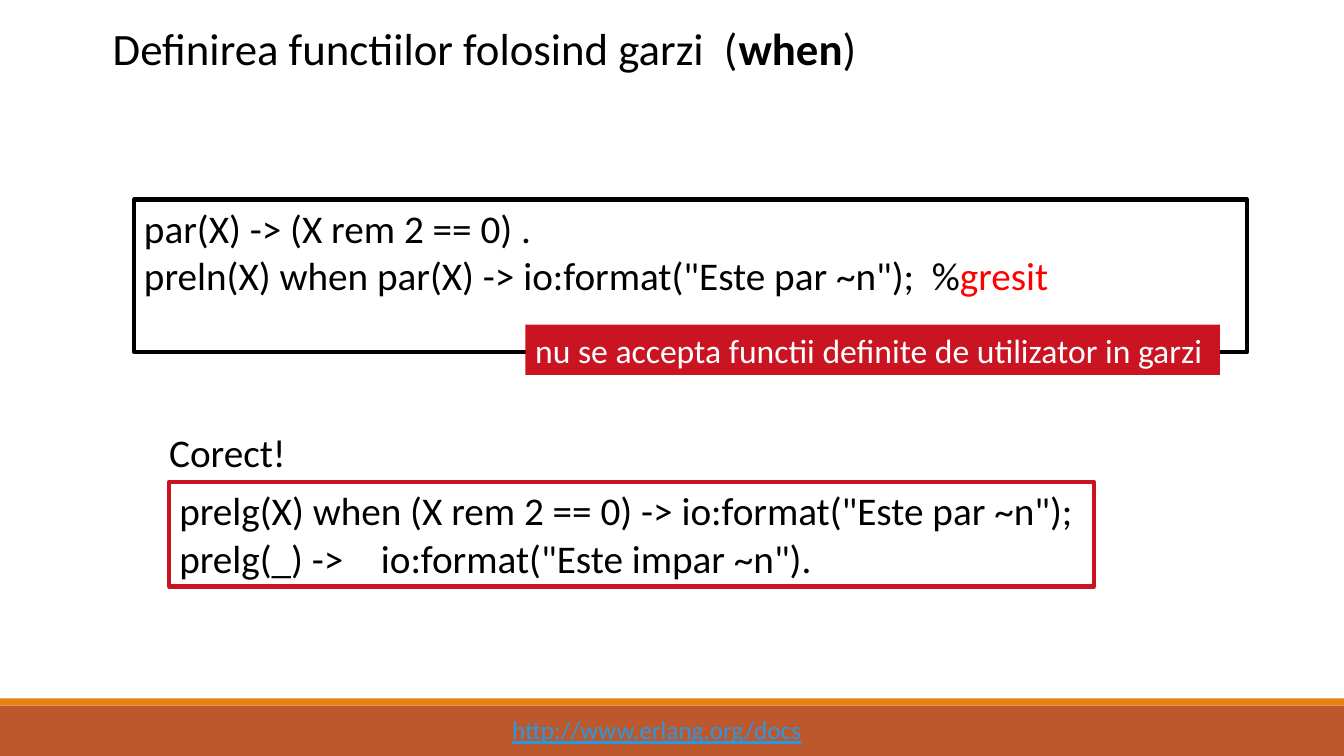
from dataclasses import dataclass
from typing import Optional

from pptx import Presentation
from pptx.dml.color import RGBColor
from pptx.enum.shapes import MSO_SHAPE
from pptx.enum.text import MSO_ANCHOR, PP_ALIGN
from pptx.slide import Slide
from pptx.util import Inches, Pt

BLACK = RGBColor(0x00, 0x00, 0x00)
WHITE = RGBColor(0xFF, 0xFF, 0xFF)
BRIGHT_RED = RGBColor(0xFF, 0x00, 0x00)
CRIMSON = RGBColor(0xCA, 0x14, 0x21)
RUST = RGBColor(0xBD, 0x58, 0x2C)
ORANGE = RGBColor(0xE4, 0x83, 0x12)
LINK_BLUE = RGBColor(0x29, 0x98, 0xE3)
FONT_NAME = "Calibri"


@dataclass(frozen=True)
class Segment:
    text: str
    color: RGBColor = BLACK
    bold: bool = False
    underline: bool = False


@dataclass(frozen=True)
class Box:
    left: float
    top: float
    width: float
    height: float
    lines: tuple[tuple[Segment, ...], ...] = ()
    size: int = 28
    fill: Optional[RGBColor] = None
    border: Optional[RGBColor] = None
    wrap: bool = False


BOXES = (
    Box(0, 7, 13.33, 0.5, fill=RUST),
    Box(0, 6.93, 13.33, 0.07, fill=ORANGE),
    Box(4.98, 7.04, 3.11, 0.4, size=18,
        lines=((Segment("http://www.erlang.org/docs", LINK_BLUE, underline=True),),)),
    Box(1.33, 1.98, 11.04, 1.51, fill=WHITE, border=BLACK, wrap=True,
        lines=((Segment("par(X) -> (X rem 2 == 0) ."),),
               (Segment('preln(X) when par(X) -> io:format("Este par ~n");  %'),
                Segment("gresit", BRIGHT_RED)))),
    Box(5.21, 3.22, 6.89, 0.5, size=24, fill=CRIMSON,
        lines=((Segment("nu se accepta functii definite de utilizator in garzi", WHITE),),)),
    Box(1.68, 4.78, 9.17, 1.04, border=CRIMSON,
        lines=((Segment('prelg(X) when (X rem 2 == 0) -> io:format("Este par ~n");'),),
               (Segment('prelg(_) ->\tio:format("Este impar ~n").'),))),
    Box(1.58, 4.2, 1.37, 0.57, lines=((Segment("Corect!"),),)),
    Box(1.02, 0.16, 7.63, 0.64, size=32,
        lines=((Segment("Definirea functiilor folosind garzi  ("),
                Segment("when", bold=True), Segment(")")),)),
)


def write_lines(shape, box: Box) -> None:
    text_frame = shape.text_frame
    text_frame.word_wrap = box.wrap
    text_frame.vertical_anchor = MSO_ANCHOR.TOP
    for index, segments in enumerate(box.lines):
        paragraph = text_frame.add_paragraph() if index else text_frame.paragraphs[0]
        paragraph.alignment = PP_ALIGN.LEFT
        for segment in segments:
            run = paragraph.add_run()
            run.text = segment.text
            run.font.name = FONT_NAME
            run.font.size = Pt(box.size)
            run.font.bold = segment.bold
            run.font.underline = segment.underline
            run.font.color.rgb = segment.color


def draw_box(slide: Slide, box: Box) -> None:
    bounds = [Inches(value) for value in (box.left, box.top, box.width, box.height)]
    if box.fill is None and box.border is None:
        shape = slide.shapes.add_textbox(*bounds)
    else:
        shape = slide.shapes.add_shape(MSO_SHAPE.RECTANGLE, *bounds)
        shape.shadow.inherit = False
        if box.fill is None:
            shape.fill.background()
        else:
            shape.fill.solid()
            shape.fill.fore_color.rgb = box.fill
        if box.border is None:
            shape.line.fill.background()
        else:
            shape.line.color.rgb = box.border
            shape.line.width = Pt(3)
    if box.lines:
        write_lines(shape, box)


def main() -> None:
    presentation = Presentation()
    presentation.slide_width = Inches(13.33)
    presentation.slide_height = Inches(7.5)
    slide = presentation.slides.add_slide(presentation.slide_layouts[6])
    for box in BOXES:
        draw_box(slide, box)
    presentation.save("out.pptx")


if __name__ == "__main__":
    main()
